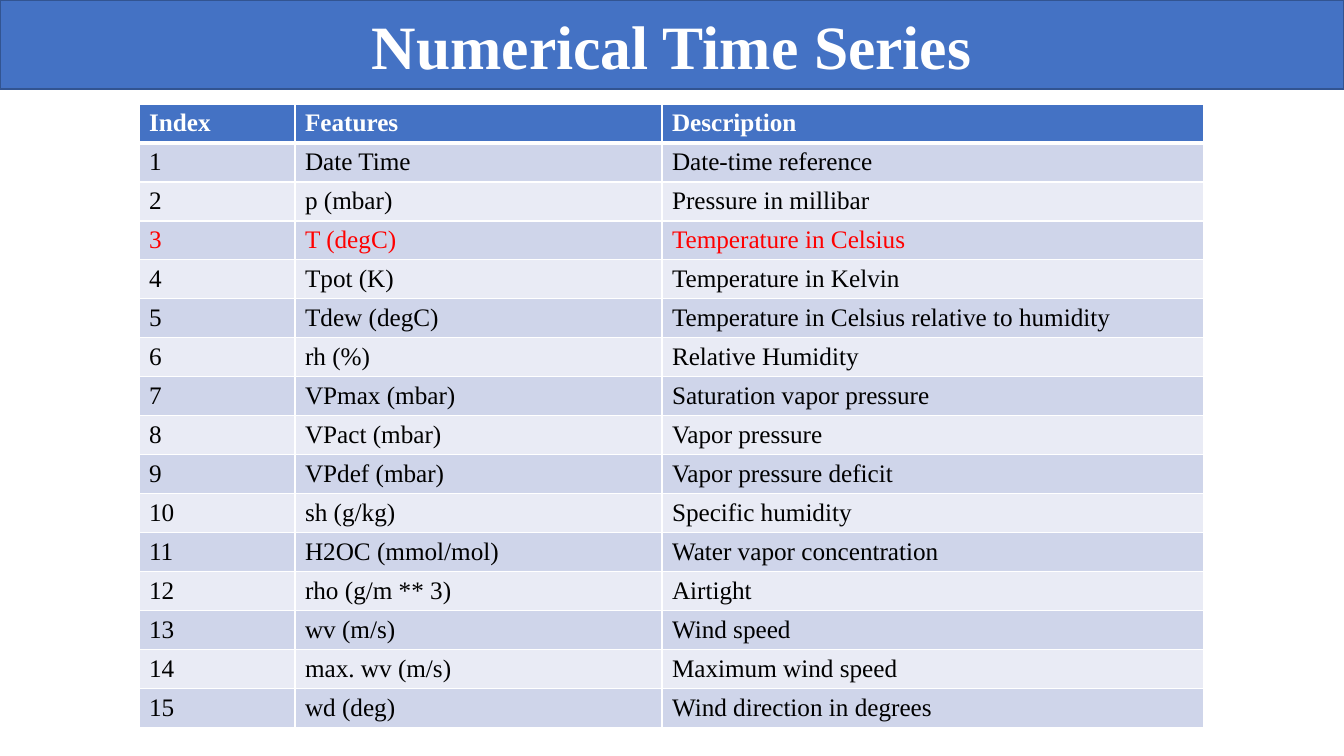
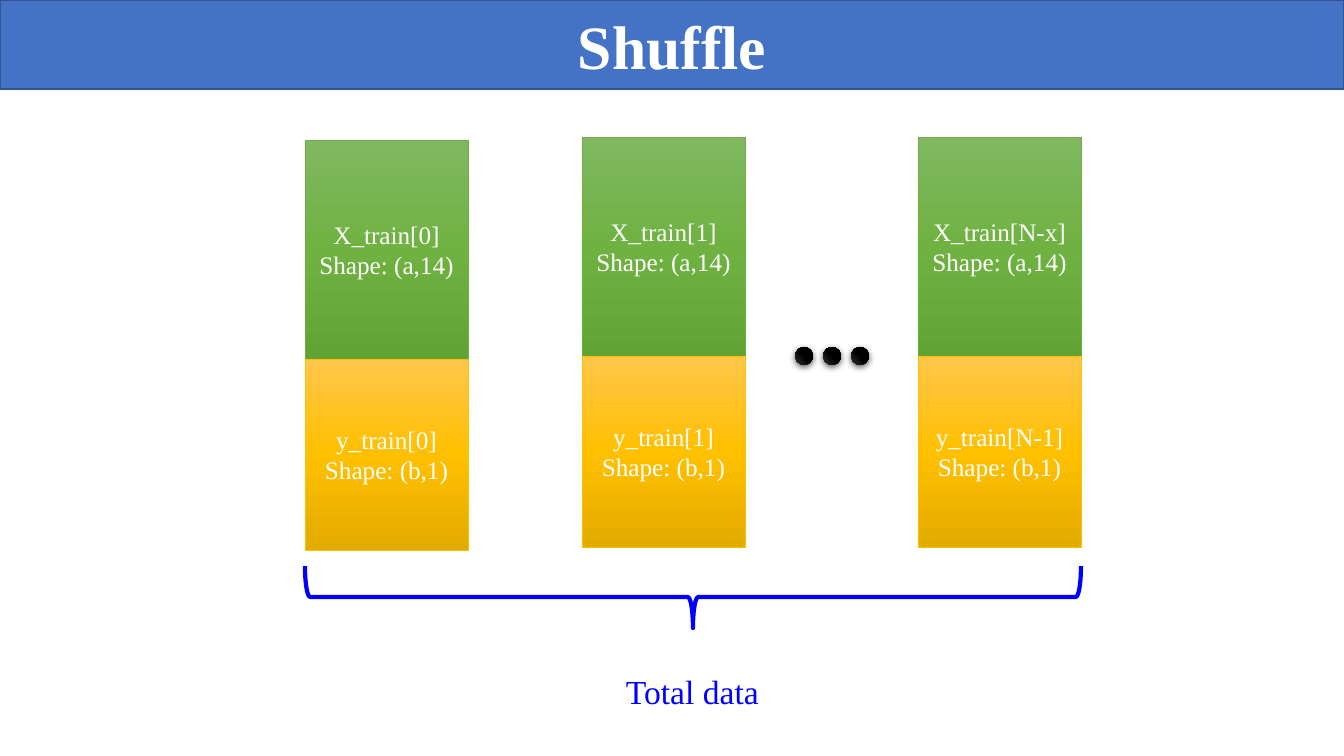
from copy import deepcopy

from lxml.etree import SubElement as Sub
from pptx import Presentation
from pptx.dml.color import RGBColor as RGB
from pptx.enum.shapes import MSO_SHAPE as Kind
from pptx.enum.text import MSO_ANCHOR as Anchor, PP_ALIGN as Align
from pptx.oxml.ns import qn
from pptx.util import Emu, Pt

WHITE = RGB(0xFF, 0xFF, 0xFF)
BLACK = RGB(0, 0, 0)
RED = RGB(0xFF, 0, 0)
BLUE = RGB(0, 0, 0xFF)
BAND = RGB(0x44, 0x72, 0xC4)
EDGE = RGB(0x32, 0x54, 0x91)
DARK = RGB(0xCF, 0xD5, 0xEA)
LIGHT = RGB(0xE9, 0xEB, 0xF5)
LEAF = RGB(0x70, 0xAD, 0x47)
GOLD = RGB(0xFF, 0xC0, 0)
GREENS = RGB(0x81, 0xB8, 0x61), RGB(0x6F, 0xB2, 0x42), RGB(0x62, 0xA3, 0x36)
GOLDS = RGB(0xFF, 0xC6, 0x4B), GOLD, RGB(0xE3, 0xAB, 0)
GRAYS = RGB(0x4B, 0x4B, 0x4B), BLACK, BLACK

WIDE, HIGH = 1344, 756
SCALE = 12192000 / WIDE


def px(num):
    return Emu(round(num * SCALE))


class Deck:
    font = "Times New Roman"

    def __init__(self):
        self.show = Presentation()
        self.show.slide_width = px(WIDE)
        self.show.slide_height = px(HIGH)

    def page(self, title):
        self.slide = self.show.slides.add_slide(self.show.slide_layouts[6])
        band = self.shape(Kind.RECTANGLE, 0, 0, WIDE, 89, BAND, EDGE, 1)
        self.words(band.text_frame, title, 44, WHITE, True, Align.CENTER)

    def words(self, frame, text, size, color, bold=False, align=Align.LEFT):
        frame.text = text
        for par in frame.paragraphs:
            par.alignment = align
            font = par.font
            font.name, font.size, font.bold = self.font, Pt(size), bold
            font.color.rgb = color

    def shape(self, kind, x, y, w, h, fill=None, line=None, width=0, turn=0):
        item = self.slide.shapes.add_shape(kind, px(x), px(y), px(w), px(h))
        item.shadow.inherit = False
        item.rotation = turn
        if fill is None:
            item.fill.background()
        elif isinstance(fill, RGB):
            item.fill.solid()
            item.fill.fore_color.rgb = fill
        else:
            self.shade(item, fill)
        if line is None:
            item.line.fill.background()
        else:
            item.line.color.rgb = line
            item.line.width = Pt(width)
        item.text_frame.word_wrap = True
        item.text_frame.vertical_anchor = Anchor.MIDDLE
        return item

    def shade(self, item, colors):
        item.fill.gradient()
        item.fill.gradient_angle = 270
        stops = item._element.spPr.find(qn("a:gradFill")).find(qn("a:gsLst"))
        stops.insert(1, deepcopy(stops[0]))
        for stop, color, place in zip(item.fill.gradient_stops, colors, (0, 0.5, 1)):
            stop.color.rgb = color
            stop.position = place

    def box(self, x, y, w, h, text, fill, line):
        item = self.shape(Kind.RECTANGLE, x, y, w, h, fill, line, 0.5)
        self.words(item.text_frame, text, 18, WHITE, align=Align.CENTER)

    def dot(self, x, y, size):
        item = self.shape(Kind.OVAL, x, y, size, size, GRAYS, turn=230)
        effect = item._element.spPr.find(qn("a:effectLst"))
        cast = Sub(effect, qn("a:outerShdw"), blurRad=str(Pt(4.5)),
                   dist=str(Pt(1.5)), dir="5400000", rotWithShape="0")
        tone = Sub(cast, qn("a:srgbClr"), val=str(BLACK))
        Sub(tone, qn("a:alpha"), val="63000")

    def label(self, x, y, w, h, text, size, color):
        item = self.slide.shapes.add_textbox(px(x), px(y), px(w), px(h))
        item.text_frame.word_wrap = False
        self.words(item.text_frame, text, size, color)

    def rule(self, cell, side, width):
        line = Sub(cell._tc.get_or_add_tcPr(), qn("a:ln" + side), w=str(Pt(width)))
        Sub(Sub(line, qn("a:solidFill")), qn("a:srgbClr"), val=str(WHITE))

    def table(self, x, y, cols, high, rows, marked):
        grid = self.slide.shapes.add_table(
            len(rows), len(cols), px(x), px(y), px(sum(cols)), px(high * len(rows))).table
        for col, width in zip(grid.columns, cols):
            col.width = px(width)
        for i, row in enumerate(rows):
            grid.rows[i].height = px(high)
            head = i == 0
            fill = BAND if head else DARK if i % 2 else LIGHT
            color = WHITE if head else RED if i == marked else BLACK
            for j, text in enumerate(row):
                cell = grid.cell(i, j)
                for side in "LRTB":
                    thick = side == "B" and head or side == "T" and i == 1
                    self.rule(cell, side, 3 if thick else 1)
                cell.fill.solid()
                cell.fill.fore_color.rgb = fill
                self.words(cell.text_frame, text, 18, color, head)


FIELDS = [
    ("Date Time", "Date-time reference"),
    ("p (mbar)", "Pressure in millibar"),
    ("T (degC)", "Temperature in Celsius"),
    ("Tpot (K)", "Temperature in Kelvin"),
    ("Tdew (degC)", "Temperature in Celsius relative to humidity"),
    ("rh (%)", "Relative Humidity"),
    ("VPmax (mbar)", "Saturation vapor pressure"),
    ("VPact (mbar)", "Vapor pressure"),
    ("VPdef (mbar)", "Vapor pressure deficit"),
    ("sh (g/kg)", "Specific humidity"),
    ("H2OC (mmol/mol)", "Water vapor concentration"),
    ("rho (g/m ** 3)", "Airtight"),
    ("wv (m/s)", "Wind speed"),
    ("max. wv (m/s)", "Maximum wind speed"),
    ("wd (deg)", "Wind direction in degrees"),
]

deck = Deck()

deck.page("Numerical Time Series")
rows = [("Index", "Features", "Description")]
rows += [(str(i), *field) for i, field in enumerate(FIELDS, 1)]
deck.table(139, 104, (156, 367, 542), 39, rows, marked=3)

deck.page("Shuffle")
for x, y, first, last in ((305, 140, "0", "0"), (582, 137, "1", "1"), (918, 137, "N-x", "N-1")):
    deck.box(x, y, 163, 219, f"X_train[{first}]\nShape: (a,14)", GREENS, LEAF)
    deck.box(x, y + 219, 163, 191, f"y_train[{last}]\nShape: (b,1)", GOLDS, GOLD)
for i in range(3):
    deck.dot(795 + 28 * i, 347, 18)
deck.shape(Kind.LEFT_BRACE, 662, 209, 62, 776, line=BLUE, width=3, turn=270)
deck.label(616, 666, 154, 50, "Total data", 24, BLUE)

deck.show.save("out.pptx")
